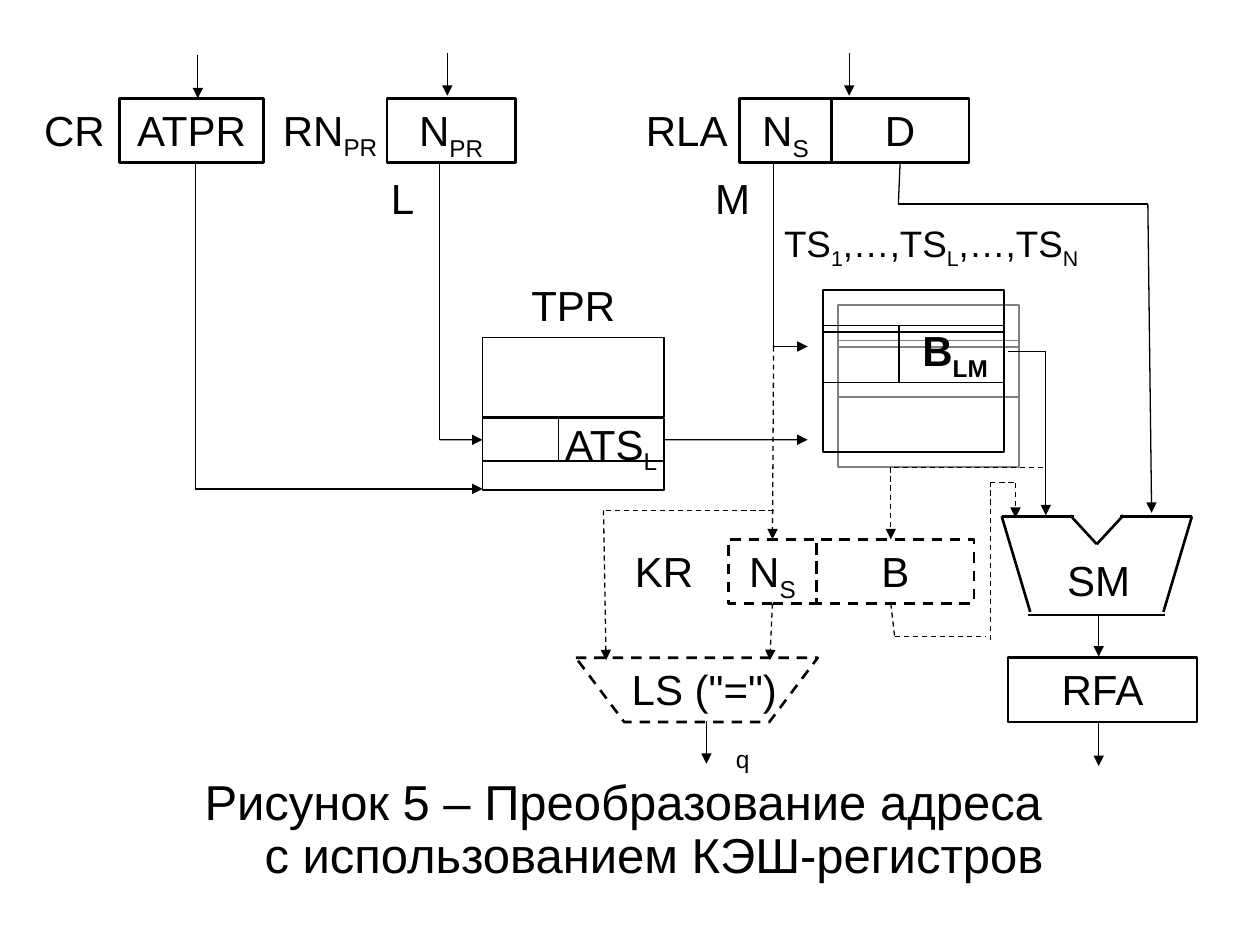
from itertools import pairwise

from lxml import etree
from pptx import Presentation
from pptx import util as u
from pptx.dml.color import RGBColor
from pptx.enum import dml, shapes, text
from pptx.oxml import ns

COLUMNS, ROWS = 100, 75
CELL = u.Inches(0.1)
INK, SHADE = "000000", "808080"
BOLD_LINE, TABLE_LINE, WIRE_LINE = 1.5, 1, 0.75
TOP, LEFT, BOTTOM, RIGHT = range(4)


def grid(*lengths):
    """Turn grid columns or rows into slide lengths."""
    return [round(length * CELL) for length in lengths]


def share(box, x, y):
    """Return the grid point at the given shares of a box."""
    left, top, width, height = box
    return left + x * width, top + y * height


def color(hex_value):
    """Return the colour for a hex string."""
    return RGBColor.from_string(hex_value)


def ink_line(line, weight, dash=False):
    """Format an outline or a wire."""
    line.color.rgb = color(INK)
    line.width = u.Pt(weight)
    if dash:
        line.dash_style = dml.MSO_LINE.DASH


def write(frame, wording, size=24, bold=False, spacing=None, before=0, hanging=0):
    """Write centred text; "|" switches to and from subscript, a newline breaks the line."""
    frame.word_wrap = True
    frame.vertical_anchor = text.MSO_ANCHOR.TOP
    paragraph = frame.paragraphs[0]
    paragraph.alignment = text.PP_ALIGN.CENTER
    paragraph.line_spacing = spacing
    paragraph.space_before = u.Pt(before)
    if hanging:
        properties = paragraph._p.get_or_add_pPr()
        properties.set("marL", str(u.Inches(hanging)))
        properties.set("indent", str(-u.Inches(hanging)))
    for row, line in enumerate(wording.split("\n")):
        if row:
            paragraph.add_line_break()
        for index, part in enumerate(line.split("|")):
            run = paragraph.add_run()
            run.text = part
            run.font.name, run.font.size, run.font.bold = "Arial", u.Pt(size), bold
            run.font.color.rgb = color(INK)
            if index % 2:
                run._r.get_or_add_rPr().set("baseline", "-25000")


def label(slide, box, wording, **style):
    """Place free text in a box."""
    write(slide.shapes.add_textbox(*grid(*box)).text_frame, wording, **style)


def block(slide, box, weight, dash=False, kind=shapes.MSO_SHAPE.RECTANGLE):
    """Place an unfilled outlined shape."""
    outline = slide.shapes.add_shape(kind, *grid(*box))
    outline.shadow.inherit = False
    outline.fill.background()
    ink_line(outline.line, weight, dash)
    return outline


def cast_shadow(outline):
    """Give a shape a hard diagonal shadow."""
    effects = outline._element.spPr.find(ns.qn("a:effectLst"))
    shadow = etree.SubElement(effects, ns.qn("a:outerShdw"), dist=str(u.Pt(12.1)),
                              dir="2700000", algn="ctr", rotWithShape="0")
    etree.SubElement(shadow, ns.qn("a:srgbClr"), val=SHADE)


def wire(slide, *points, weight=WIRE_LINE, dash=False, arrow=True, start=None, end=None):
    """Draw straight segments through points, with an arrowhead on the last."""
    segments = []
    for origin, target in pairwise(points):
        segment = slide.shapes.add_connector(
            shapes.MSO_CONNECTOR.STRAIGHT, *grid(*origin, *target))
        ink_line(segment.line, weight, dash)
        etree.SubElement(segment._element.spPr, ns.qn("a:effectLst"))
        segments.append(segment)
    if start:
        segments[0].begin_connect(*start)
    if end:
        segments[-1].end_connect(*end)
    if arrow:
        line = segments[-1].line._get_or_add_ln()
        etree.SubElement(line, ns.qn("a:tailEnd"), type="triangle")


def register(slide, box, fields, name=None, name_width=0, dash=False):
    """Draw a register: its name on the left, then fields given as text and share."""
    left, top, width, height = box
    if name:
        label(slide, (left + 0.6 - name_width, top, name_width, 4.6), name)
    cells = []
    for wording, portion in fields:
        cell = block(slide, (left, top, portion * width, height), BOLD_LINE, dash)
        write(cell.text_frame, wording)
        cells.append(cell)
        left += portion * width
    return cells


def memory_table(slide, box, rows, title, title_box, entry, entry_box,
                 title_size=24, bold=False, shadow=False):
    """Draw a table of stacked rows whose middle row is divided and holds an entry."""
    left, top, width, height = box
    bands = []
    for offset, portion in rows:
        band = block(slide, (left, top + offset * height, width, portion * height), TABLE_LINE)
        if shadow:
            cast_shadow(band)
        bands.append(band)
    offset, portion = rows[1]
    wire(slide, share(box, 0.42, offset), share(box, 0.42, offset + portion), arrow=False)
    for wording, (x, y, w, h), style in ((title, title_box, {"size": title_size}),
                                         (entry, entry_box, {"bold": bold})):
        label(slide, (left + x, top + y, w, h), wording, **style)
    return bands


def adder(slide, box):
    """Draw the notched adder from a half outline and its mirror."""
    half = [((0, 0.01), (0.38, 0.01)), ((0, 0.01), (0.15, 0.97)),
            ((0.36, 0), (0.5, 0.29)), ((0.14, 1), (0.5, 1))]
    for edge in half:
        wire(slide, *(share(box, x, y) for x, y in edge), weight=BOLD_LINE, arrow=False)
        wire(slide, *(share(box, 1 - x, y) for x, y in edge), weight=BOLD_LINE, arrow=False)
    label(slide, (*share(box, 0.2, 0.33), 0.62 * box[2], 0.62 * box[3]), "SM")


def comparator(slide, box):
    """Draw the comparison circuit and its output q."""
    left, top, width, height = box
    block(slide, box, BOLD_LINE, True, shapes.MSO_SHAPE.FLOWCHART_MANUAL_OPERATION)
    label(slide, (left + 1.8, top, 16.8, 4.6), 'LS ("=")')
    wire(slide, share(box, 0.54, 0.98), share(box, 0.54, 1.65))
    label(slide, (*share(box, 0.44, 1.25), width / 2, 5.6), "q", size=14)


def wiring(slide, displacement, program_row, cache_segment):
    """Connect the registers, tables, adder and comparator."""
    for x, y in ((15.7, 4.4), (35.5, 4.2), (67.4, 4.2), (87.2, 57.4)):
        wire(slide, (x, y), (x, y + 3.4))
    wire(slide, (15.5, 12.8), (15.5, 38.8), (38.3, 38.8))
    wire(slide, (34.9, 12.8), (34.9, 34.9), (38.3, 34.9), end=(program_row, LEFT))
    wire(slide, (52.7, 34.9), (64.1, 34.9), start=(program_row, RIGHT))
    wire(slide, (61.4, 12.8), (61.4, 27.5), (64.1, 27.5))
    wire(slide, (71.3, 12.9), (71.3, 16.2), (91.1, 16.2), (91.4, 40.7),
         start=(displacement, BOTTOM))
    wire(slide, (80, 27.9), (83, 27.9), (83, 40.9))
    wire(slide, (87.2, 48.8), (87.2, 52.1))
    wire(slide, (61.4, 27.5), (61.4, 42.8), dash=True, end=(cache_segment, TOP))
    wire(slide, (61.1, 47.9), (61.1, 52.4), dash=True, start=(cache_segment, BOTTOM))
    wire(slide, (61.4, 40.5), (47.9, 40.5), (48.1, 52.4), dash=True)
    wire(slide, (82.8, 37.1), (70.7, 37.1), (70.7, 42.8), dash=True)
    wire(slide, (70.7, 47.9), (71, 50.5), (78.2, 50.5), dash=True, arrow=False)
    wire(slide, (78.6, 50.8), (78.6, 38.3), (80.6, 38.3), (80.6, 41.1), dash=True)


def caption(slide, box):
    """Write the figure caption."""
    label(slide, box, "Рисунок 5 – Преобразование адреса \nс использованием КЭШ-регистров",
          size=28, spacing=0.9, before=7, hanging=0.38)


def main():
    """Build the address translation slide."""
    deck = Presentation()
    deck.slide_width, deck.slide_height = grid(COLUMNS, ROWS)
    slide = deck.slides.add_slide(deck.slide_layouts[6])
    caption(slide, (5, 61.3, 90, 10.3))
    register(slide, (9.5, 7.8, 11.4, 5.1), [("ATPR", 1)], "CR", 8.4)
    register(slide, (30.7, 7.8, 10.2, 5.1), [("N|PR", 1)], "RN|PR", 10.2)
    _, displacement = register(slide, (58.7, 7.8, 18.2, 5.1),
                               [("N|S", 0.4), ("D", 0.6)], "RLA", 9.6)
    cache_segment, _ = register(slide, (57.8, 42.8, 19.5, 5.1),
                                [("N|S", 0.36), ("B", 0.64)], "KR", 11.4, dash=True)
    register(slide, (80, 52.2, 15, 5.1), [("RFA", 1)])
    _, program_row, _ = memory_table(
        slide, (38.3, 26.8, 14.4, 12.1), [(0, 0.52), (0.53, 0.28), (0.81, 0.19)],
        "TPR", (2.4, -5.1, 9.6, 4.6), "ATS|L", (4.8, 5.9, 10.8, 4.6))
    memory_table(
        slide, (65.3, 23, 14.4, 12.9), [(0, 0.26), (0.22, 0.35), (0.57, 0.43)],
        "TS|1|,…,TS|L|,…,TS|N", (-4.6, -6, 26.4, 4.6), "B|LM", (5.1, 2.3, 10.8, 5.1),
        title_size=21, bold=True, shadow=True)
    adder(slide, (79.5, 40.9, 15.1, 7.9))
    comparator(slide, (45.7, 52.2, 19.2, 5.1))
    wiring(slide, displacement, program_row, cache_segment)
    label(slide, (26.1, 13.2, 11.7, 5), "L")
    label(slide, (52.3, 13.2, 11.7, 5), "M")
    deck.save("out.pptx")


if __name__ == "__main__":
    main()
